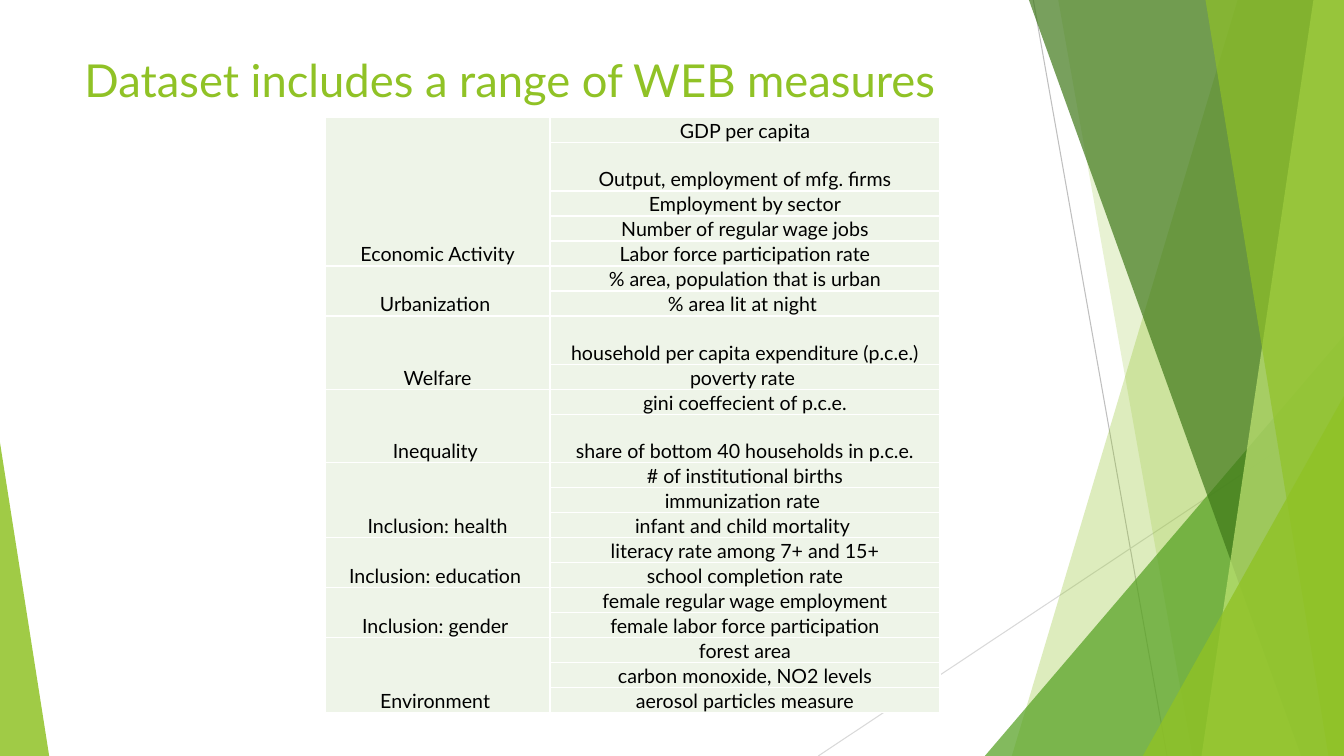
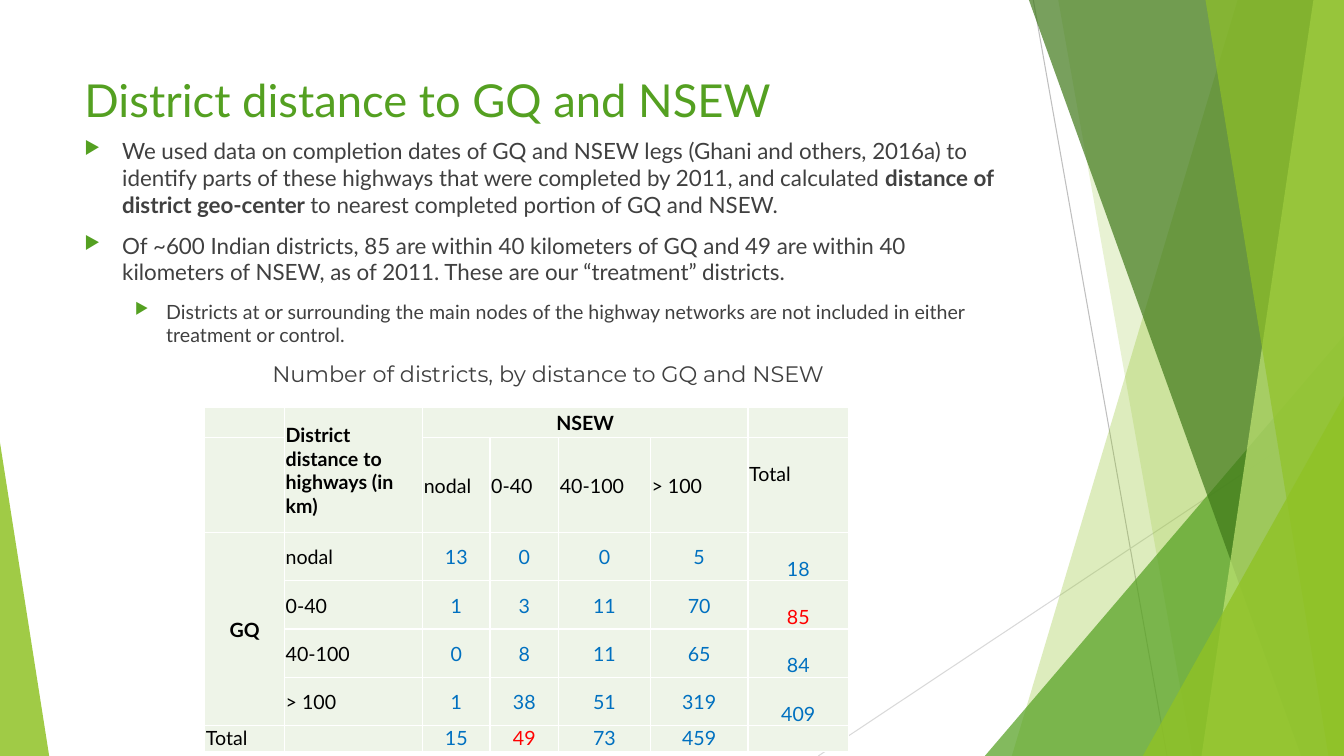
from lxml import etree
from pptx import Presentation
from pptx.dml.color import RGBColor
from pptx.enum import shapes, text
from pptx.oxml.ns import qn
from pptx.util import Cm, Pt

W, H = 33.87, 19.05
FONT = "Lato"
COLORS = {
    "lime": "90C226", "green": "54A021", "forest": "3F7819", "pale": "C0E474",
    "gray": "BFBFBF", "silver": "D9D9D9", "body": "404040", "black": "000000",
    "blue": "0070C0", "red": "FF0000", "cell": "EEF4E8", "white": "FFFFFF",
}
RGB = {name: RGBColor.from_string(value) for name, value in COLORS.items()}
CENTER = text.PP_ALIGN.CENTER
MIDDLE, BOTTOM = text.MSO_ANCHOR.MIDDLE, text.MSO_ANCHOR.BOTTOM


def add_run(p, words, size, color, bold=False, font=FONT):
    r = p.add_run()
    r.text = words
    r.font.size = Pt(size)
    r.font.name = font
    r.font.bold = bold
    r.font.color.rgb = RGB[color]


def add_grid(s, left, top, widths, heights):
    frame = s.shapes.add_table(len(heights), len(widths), Cm(left), Cm(top),
                               Cm(sum(widths)), Cm(sum(heights)))
    tbl = frame.table
    tbl.first_row = tbl.horz_banding = False
    for col, width in zip(tbl.columns, widths):
        col.width = Cm(width)
    for row, height in zip(tbl.rows, heights):
        row.height = Cm(height)
    for cell in tbl.iter_cells():
        cell.margin_left = cell.margin_right = cell.margin_top = Cm(0.03)
        cell.margin_bottom = 0
        tcPr = cell._tc.get_or_add_tcPr()
        for side in ("a:lnL", "a:lnR", "a:lnT", "a:lnB"):
            ln = etree.SubElement(tcPr, qn(side), w=str(Pt(1)))
            fill = etree.SubElement(ln, qn("a:solidFill"))
            etree.SubElement(fill, qn("a:srgbClr"), val=COLORS["white"])
        cell.fill.solid()
        cell.fill.fore_color.rgb = RGB["cell"]
        etree.SubElement(cell.text_frame.paragraphs[0]._p, qn("a:endParaRPr"), sz="1400")
    return tbl


prs = Presentation()
prs.slide_width, prs.slide_height = Cm(W), Cm(H)
blank = prs.slide_layouts[6]

titles = [
    ("Dataset includes a range of WEB measures", 1.19, 2.06, "lime"),
    ("District distance to GQ and NSEW", 1.7, 1.63, "green"),
]
slides = []
for title, top, height, color in titles:
    s = prs.slides.add_slide(blank)
    tf = s.shapes.add_textbox(Cm(1.88), Cm(top), Cm(23.88), Cm(height)).text_frame
    tf.word_wrap = True
    add_run(tf.paragraphs[0], title, 32.4, color)
    slides.append(s)
measures_slide, distance_slide = slides

decor = []
for x1, y1, x2, y2, color in [(26.04, 0, 29.41, H, "gray"), (W, 10.24, 20.62, H, "silver")]:
    line = measures_slide.shapes.add_connector(
        shapes.MSO_CONNECTOR.STRAIGHT, Cm(x1), Cm(y1), Cm(x2), Cm(y2))
    line.line.color.rgb = RGB[color]
    line.line.width = Pt(0.75)
    etree.SubElement(line.element.spPr, qn("a:effectLst"))
    decor.append(line)

facets = [
    ("panel", (31.19, 25.5), "lime", 30),
    ("panel", (26.67, 30.05), "lime", 20),
    ("triangle", (24.82, 8.46, W, 1), "green", 72),
    ("panel", (25.93, 32.79), "forest", 70),
    ("panel", (33.1, 30.28), "pale", 70),
    ("panel", (30.38, 33.48), "lime", 65),
    ("triangle", (28.8, 9.98, W, 1), "lime", 80),
    ("triangle", (0, 11.15, 1.24, 0), "lime", 85),
]
for kind, geometry, color, alpha in facets:
    if kind == "panel":
        top_x, bottom_x = geometry
        outline = measures_slide.shapes.build_freeform(Cm(top_x), 0)
        outline.add_line_segments(
            [(Cm(W), 0), (Cm(W), Cm(H)), (Cm(bottom_x), Cm(H))], close=True)
        sp = outline.convert_to_shape()
    else:
        left, top, right, apex = geometry
        sp = measures_slide.shapes.add_shape(
            shapes.MSO_SHAPE.ISOSCELES_TRIANGLE,
            Cm(left), Cm(top), Cm(right - left), Cm(H - top))
        sp.adjustments[0] = apex
    sp.shadow.inherit = False
    sp.fill.solid()
    sp.fill.fore_color.rgb = RGB[color]
    sp.line.fill.background()
    clr = sp.element.spPr.find(".//" + qn("a:srgbClr"))
    etree.SubElement(clr, qn("a:alpha"), val=str(alpha * 1000))
    decor.append(sp)

for sp in decor:
    blank.shapes.element.append(sp.element)

measures = [
    ("Economic Activity", ["GDP per capita", "Output, employment of mfg. firms",
                           "Employment by sector", "Number of regular wage jobs",
                           "Labor force participation rate"]),
    ("Urbanization ", ["% area, population that is urban", "% area lit at night "]),
    ("Welfare", ["household per capita expenditure (p.c.e.)", "poverty rate "]),
    ("Inequality ", ["gini coeffecient of p.c.e.",
                     "share of bottom 40 households in p.c.e."]),
    ("Inclusion: health", ["# of institutional births", "immunization rate ",
                           "infant and child mortality "]),
    ("Inclusion: education ", ["literacy rate among 7+ and 15+", "school completion rate"]),
    ("Inclusion: gender ", ["female regular wage employment",
                            "female labor force participation"]),
    ("Environment ", ["forest area", "carbon monoxide, NO2 levels",
                      "aerosol particles measure"]),
]
heights = [0.63] * sum(len(items) for _, items in measures)
heights[0] = 0.53
for tall in (1, 7, 10):
    heights[tall] = 1.22
tbl = add_grid(measures_slide, 8.2, 2.97, [5.66, 9.83], heights)
row = 0
for group, items in measures:
    tbl.cell(row, 0).merge(tbl.cell(row + len(items) - 1, 0))
    entries = [(row, 0, group)] + [(row + i, 1, item) for i, item in enumerate(items)]
    for r, c, words in entries:
        cell = tbl.cell(r, c)
        cell.vertical_anchor = BOTTOM
        p = cell.text_frame.paragraphs[0]
        p.alignment = CENTER
        add_run(p, words, 14, "black")
    row += len(items)

bullets = [
    (0, 16, [("We used data on completion dates of GQ and NSEW legs (Ghani and others, 2016a) "
              "to identify parts of these highways that were completed by 2011, and calculated ",
              False),
             ("distance of district geo-center ", True),
             ("to nearest completed portion of GQ and NSEW.", False)]),
    (0, 16, [("Of ~600 Indian districts, 85 are within 40 kilometers of GQ and 49 are within "
              "40 kilometers of NSEW, as of 2011. These are our “treatment” districts.", False)]),
    (1, 14, [("Districts at or surrounding the main nodes of the highway networks are not "
              "included in either treatment or control.", False)]),
]
indents = [(0.95, -0.95), (2.06, -0.79)]
tf = distance_slide.shapes.add_textbox(Cm(1.88), Cm(3.33), Cm(23.88), Cm(14.5)).text_frame
tf.word_wrap = True
p = tf.paragraphs[0]
for level, size, runs in bullets:
    p.level = level
    p.space_before = Pt(10)
    pPr = p._p.get_or_add_pPr()
    margin, hanging = indents[level]
    pPr.set("marL", str(Cm(margin)))
    pPr.set("indent", str(Cm(hanging)))
    buClr = etree.SubElement(pPr, qn("a:buClr"))
    etree.SubElement(buClr, qn("a:srgbClr"), val=COLORS["green"])
    etree.SubElement(pPr, qn("a:buSzPct"), val="80000")
    etree.SubElement(pPr, qn("a:buChar"), char="▶")
    for words, bold in runs:
        add_run(p, words, size, "body", bold)
    p = tf.add_paragraph()
p.alignment = CENTER
p.space_before = Pt(10)
add_run(p, "Number of districts, by distance to GQ and NSEW", 16, "body", font="Montserrat")

districts = [
    ["", "District distance to highways (in km)", "NSEW", "", "", "", ""],
    ["", "", "nodal", "0-40", "40-100", "> 100", "Total"],
    ["GQ", "nodal", "13", "0", "0", "5", "18"],
    ["", "0-40", "1", "3", "11", "70", "85"],
    ["", "40-100", "0", "8", "11", "65", "84"],
    ["", "> 100", "1", "38", "51", "319", "409"],
    ["Total", "", "15", "49", "73", "459", ""],
]
tbl = add_grid(distance_slide, 5.16, 10.26, [2.01, 3.48, 1.7, 1.73, 2.31, 2.46, 2.54],
               [0.76, 1.63] + [1.19] * 4 + [0.66])
for r1, c1, r2, c2 in [(0, 1, 1, 1), (0, 2, 0, 5), (2, 0, 5, 0)]:
    tbl.cell(r1, c1).merge(tbl.cell(r2, c2))
for r, line in enumerate(districts):
    for c, words in enumerate(line):
        if not words:
            continue
        cell = tbl.cell(r, c)
        number = r > 1 and c > 1
        if c == 6:
            cell.margin_top = Cm(0.62)
        elif r < 6:
            cell.vertical_anchor = MIDDLE
        p = cell.text_frame.paragraphs[0]
        if number or words in ("NSEW", "GQ"):
            p.alignment = CENTER
        color = "red" if (r, c) in ((3, 6), (6, 3)) else "blue" if number else "black"
        add_run(p, words, 14, color, r == 0 or words == "GQ")

prs.save("out.pptx")
